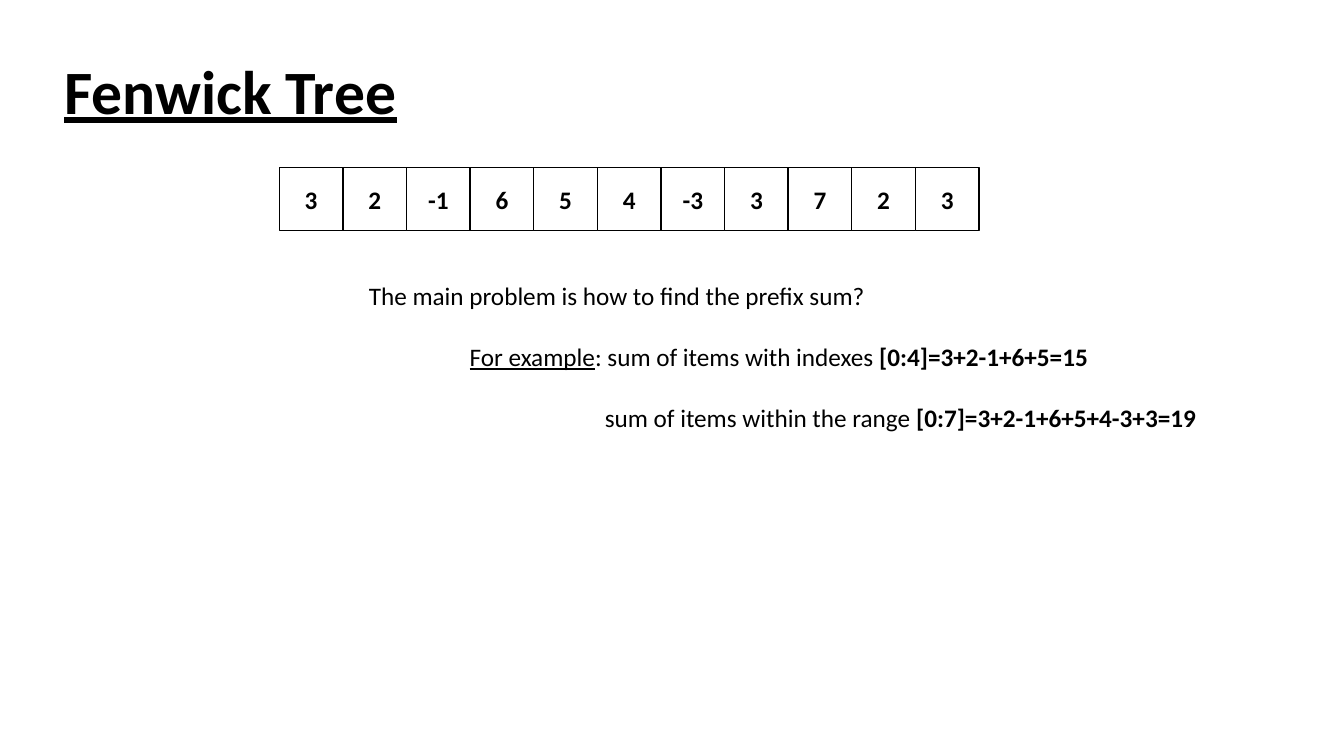
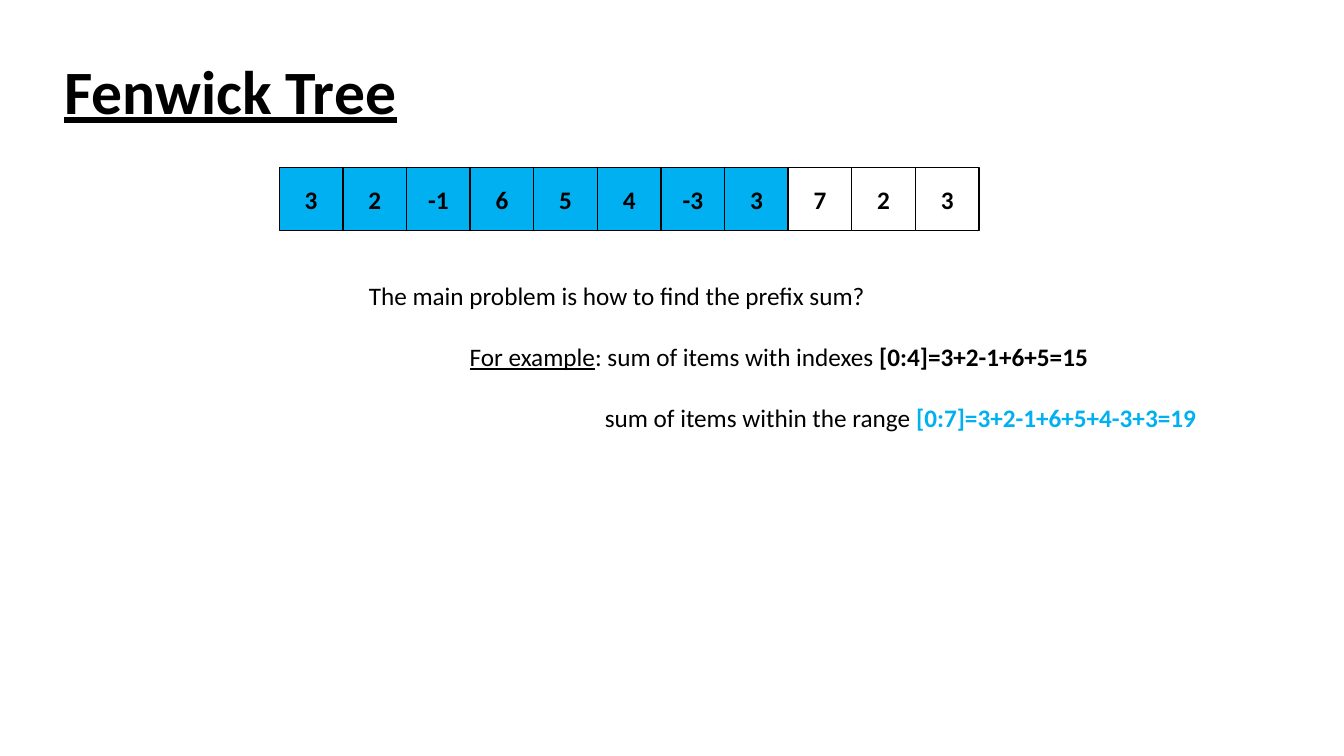
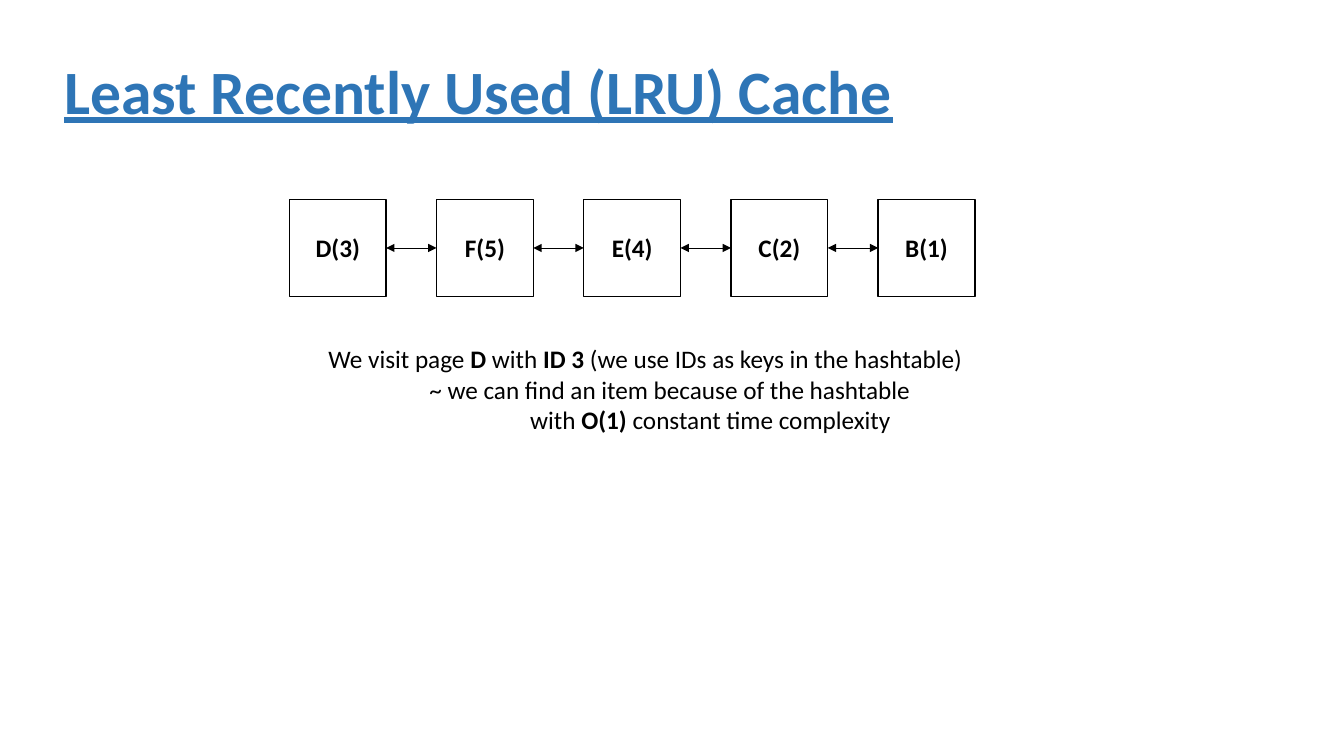
from dataclasses import dataclass

from lxml.etree import SubElement
from pptx import Presentation
from pptx.dml.color import RGBColor
from pptx.enum.shapes import MSO_CONNECTOR, MSO_SHAPE
from pptx.enum.text import MSO_ANCHOR, PP_ALIGN
from pptx.oxml.ns import qn
from pptx.util import Inches, Pt


@dataclass(frozen=True)
class Theme:
    """Colours, font and sizes shared by every slide."""
    font: str = "Calibri"
    ink: str = "000000"
    paper: str = "FFFFFF"
    mark: str = "00B0F0"
    heading: str = "2E75B6"
    title_pt: int = 44
    body_pt: int = 18
    border_pt: float = 1
    arrow_pt: float = 0.5


THEME = Theme()
TITLE_BOX = (0.54, 0.21, 11.5, 1.45)
ARRAY_BOX = (2.77, 1.66, 6.94, 0.63)
PROBLEM_BOX = (3.56, 2.73, 8.5, 1.62)
LIST_BOX = (2.87, 1.98, 6.8, 0.96)
VISIT_BOX = (3.16, 3.36, 6.56, 1.31)
VALUES = [3, 2, -1, 6, 5, 4, -3, 3, 7, 2, 3]
PAGES = ["D(3)", "F(5)", "E(4)", "C(2)", "B(1)"]


def add_run(p, text, size=THEME.body_pt, color=THEME.ink, bold=False, underline=False):
    """Append one styled run to a paragraph."""
    r = p.add_run()
    r.text = text
    r.font.name = THEME.font
    r.font.size = Pt(size)
    r.font.bold = bold
    r.font.underline = underline
    r.font.color.rgb = RGBColor.from_string(color)


def add_title(s, box, text, color):
    """Place the underlined slide title."""
    tf = s.shapes.add_textbox(*map(Inches, box)).text_frame
    tf.word_wrap = True
    tf.vertical_anchor = MSO_ANCHOR.MIDDLE
    p = tf.paragraphs[0]
    p.line_spacing = 0.9
    add_run(p, text, THEME.title_pt, color, bold=True, underline=True)


def add_lines(s, box, lines, gap=0):
    """Place indented lines, each given as an indent and its runs."""
    tf = s.shapes.add_textbox(*map(Inches, box)).text_frame
    tf.word_wrap = True
    for i, (indent, runs) in enumerate(lines):
        p = tf.add_paragraph() if i else tf.paragraphs[0]
        p.space_before = Pt(gap if i else 0)
        p._p.get_or_add_pPr().set("marL", str(Inches(indent)))
        for text, style in runs:
            add_run(p, text, **style)


def add_cell(s, box, text, fill):
    """Draw one bordered cell with a centred bold label."""
    sp = s.shapes.add_shape(MSO_SHAPE.RECTANGLE, *map(Inches, box))
    sp.shadow.inherit = False
    sp.fill.solid()
    sp.fill.fore_color.rgb = RGBColor.from_string(fill)
    sp.line.color.rgb = RGBColor.from_string(THEME.ink)
    sp.line.width = Pt(THEME.border_pt)
    tf = sp.text_frame
    tf.vertical_anchor = MSO_ANCHOR.MIDDLE
    p = tf.paragraphs[0]
    p.alignment = PP_ALIGN.CENTER
    add_run(p, text, bold=True)


def add_double_arrow(s, x1, x2, y):
    """Draw a horizontal line with an arrowhead at both ends."""
    cxn = s.shapes.add_connector(MSO_CONNECTOR.STRAIGHT, *map(Inches, (x1, y, x2, y)))
    cxn.line.color.rgb = RGBColor.from_string(THEME.ink)
    cxn.line.width = Pt(THEME.arrow_pt)
    ln = cxn.line._get_or_add_ln()
    for end in ("a:headEnd", "a:tailEnd"):
        SubElement(ln, qn(end), type="triangle")
    SubElement(cxn._element.spPr, qn("a:effectLst"))


def add_array(s, box, values, marked):
    """Fill the box with touching cells, the first ones marked."""
    x, y, w, h = box
    step = w / len(values)
    for i, value in enumerate(values):
        fill = THEME.mark if i < marked else THEME.paper
        add_cell(s, (x + i * step, y, step, h), str(value), fill)


def add_linked_list(s, box, labels):
    """Spread square nodes over the box and link the neighbours."""
    x, y, w, side = box
    step = (w - side) / (len(labels) - 1)
    for i, label in enumerate(labels):
        left = x + i * step
        add_cell(s, (left, y, side, side), label, THEME.paper)
        if i:
            add_double_arrow(s, left - step + side, left, y + side / 2)


def fenwick_slide(prs, marked=0):
    """Build a prefix sum slide with the given number of marked cells."""
    s = prs.slides.add_slide(prs.slide_layouts[6])
    add_title(s, TITLE_BOX, "Fenwick Tree", THEME.ink)
    add_array(s, ARRAY_BOX, VALUES, marked)
    sum_color = THEME.mark if marked else THEME.ink
    add_lines(s, PROBLEM_BOX, [
        (0, [("The main problem is how to find the prefix sum?", {})]),
        (1, [("For example", {"underline": True}),
             (": sum of items with indexes ", {}),
             ("[0:4]=3+2-1+6+5=15", {"bold": True})]),
        (2.34, [("sum of items within the range ", {}),
                ("[0:7]=3+2-1+6+5+4-3+3=19", {"bold": True, "color": sum_color})]),
    ], gap=22)


def lru_slide(prs):
    """Build the cache slide with its doubly linked list."""
    s = prs.slides.add_slide(prs.slide_layouts[6])
    add_title(s, TITLE_BOX, "Least Recently Used (LRU) Cache", THEME.heading)
    add_linked_list(s, LIST_BOX, PAGES)
    add_lines(s, VISIT_BOX, [
        (0, [("We visit page ", {}), ("D", {"bold": True}), (" with ", {}),
             ("ID 3 ", {"bold": True}),
             ("(we use IDs as keys in the hashtable)", {})]),
        (1, [("~ we can find an item because of the hashtable", {})]),
        (2, [("with ", {}), ("O(1)", {"bold": True}),
             (" constant time complexity", {})]),
    ])


def main():
    """Build the presentation and save it."""
    prs = Presentation()
    prs.slide_width, prs.slide_height = Inches(13.33), Inches(7.5)
    fenwick_slide(prs)
    fenwick_slide(prs, marked=8)
    lru_slide(prs)
    prs.save("out.pptx")


main()
